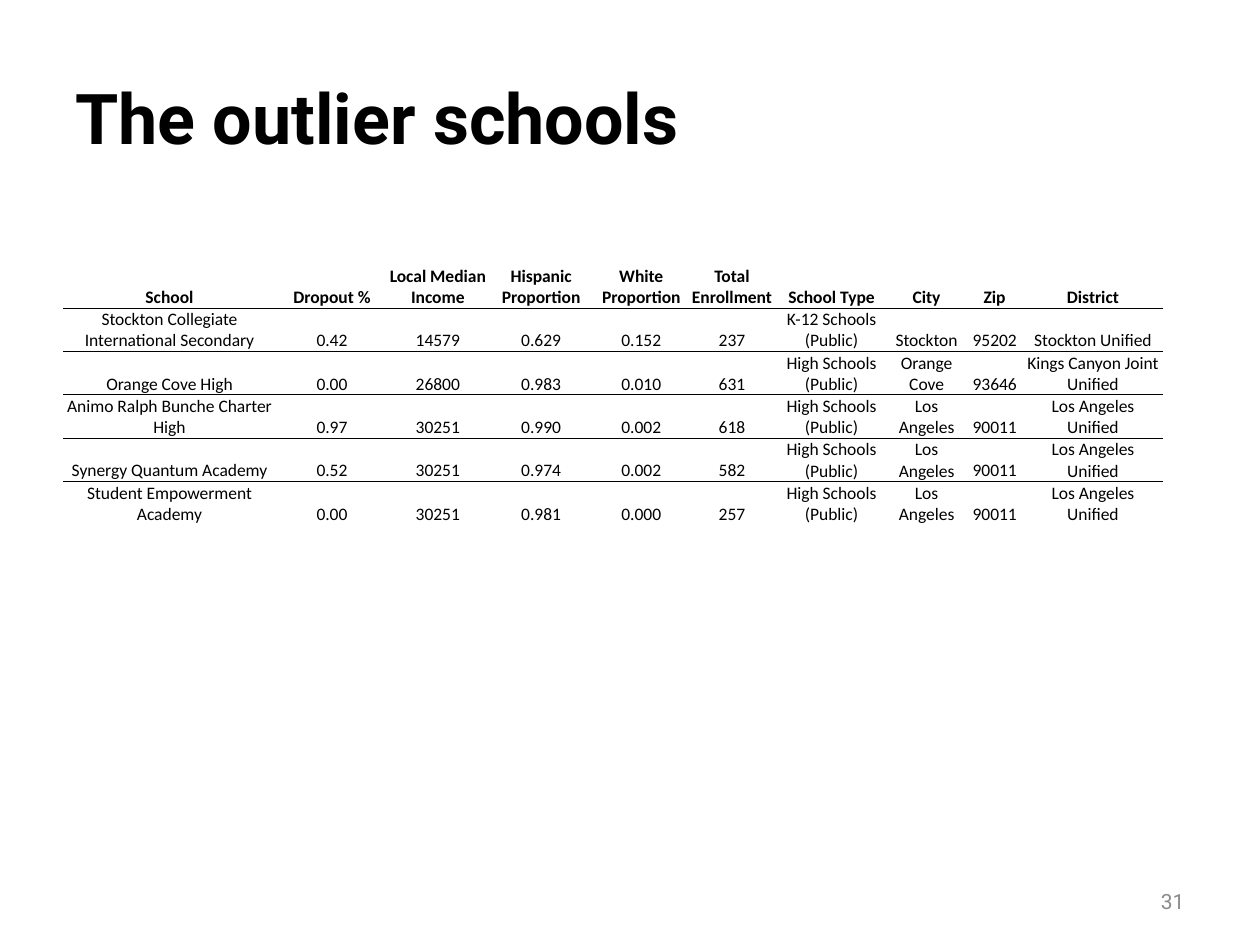
import lxml.etree
import pptx
import pptx.dml.color
import pptx.enum.text
import pptx.oxml.ns
import pptx.util
from pptx.util import Inches

BLACK = pptx.dml.color.RGBColor(0x00, 0x00, 0x00)
GREY = pptx.dml.color.RGBColor(0x8C, 0x8C, 0x8C)
ALIGN = pptx.enum.text.PP_ALIGN
ANCHOR = pptx.enum.text.MSO_ANCHOR
NO_STYLE = "{2D5ABB26-0587-4C30-8999-92F81FD0307C}"

COLUMN_WIDTHS = [1.69, 0.89, 0.79, 0.85, 0.74, 0.7, 0.88, 0.63, 0.45, 1.11]
ROW_HEIGHT = 0.34
SCHOOLS = [
    ["School", "Dropout %", "Local Median Income", "Hispanic Proportion",
     "White Proportion", "Total Enrollment", "School Type", "City", "Zip", "District"],
    ["Stockton Collegiate International Secondary", "0.42", "14579", "0.629", "0.152",
     "237", "K-12 Schools (Public)", "Stockton", "95202", "Stockton Unified"],
    ["Orange Cove High", "0.00", "26800", "0.983", "0.010",
     "631", "High Schools (Public)", "Orange Cove", "93646", "Kings Canyon Joint Unified"],
    ["Animo Ralph Bunche Charter High", "0.97", "30251", "0.990", "0.002",
     "618", "High Schools (Public)", "Los Angeles", "90011", "Los Angeles Unified"],
    ["Synergy Quantum Academy", "0.52", "30251", "0.974", "0.002",
     "582", "High Schools (Public)", "Los Angeles", "90011", "Los Angeles Unified"],
    ["Student Empowerment Academy", "0.00", "30251", "0.981", "0.000",
     "257", "High Schools (Public)", "Los Angeles", "90011", "Los Angeles Unified"],
]


def set_font(para, name, size, color, bold=False):
    para.font.name = name
    para.font.size = pptx.util.Pt(size)
    para.font.color.rgb = color
    para.font.bold = bold


def add_text(page, left, top, width, height, text, size, color, align, bold=False):
    box = page.shapes.add_textbox(Inches(left), Inches(top), Inches(width), Inches(height))
    frame = box.text_frame
    frame.word_wrap = True
    frame.vertical_anchor = ANCHOR.MIDDLE
    para = frame.paragraphs[0]
    para.text = text
    para.alignment = align
    set_font(para, "Roboto", size, color, bold)


def add_bottom_rule(cell):
    rule = lxml.etree.Element(pptx.oxml.ns.qn("a:lnB"), w=str(pptx.util.Pt(0.5)))
    fill = lxml.etree.SubElement(rule, pptx.oxml.ns.qn("a:solidFill"))
    lxml.etree.SubElement(fill, pptx.oxml.ns.qn("a:srgbClr"), val=str(BLACK))
    cell._tc.get_or_add_tcPr().insert(0, rule)


def fill_cell(cell, text, bold):
    cell.margin_left = cell.margin_right = cell.margin_top = Inches(0.01)
    cell.margin_bottom = 0
    cell.vertical_anchor = ANCHOR.BOTTOM
    cell.fill.background()
    para = cell.text_frame.paragraphs[0]
    para.text = text
    para.alignment = ALIGN.CENTER
    set_font(para, "Calibri", 10, BLACK, bold)


def add_school_table(page, left, top):
    frame = page.shapes.add_table(
        len(SCHOOLS), len(COLUMN_WIDTHS), Inches(left), Inches(top),
        Inches(sum(COLUMN_WIDTHS)), Inches(ROW_HEIGHT * len(SCHOOLS)))
    table = frame.table
    table.horz_banding = False
    table._tbl.tblPr.find(pptx.oxml.ns.qn("a:tableStyleId")).text = NO_STYLE
    for column, width in zip(table.columns, COLUMN_WIDTHS):
        column.width = Inches(width)
    for row_index, (row, values) in enumerate(zip(table.rows, SCHOOLS)):
        row.height = Inches(ROW_HEIGHT)
        for cell, value in zip(row.cells, values):
            fill_cell(cell, value, bold=row_index == 0)
            if row_index < len(SCHOOLS) - 1:
                add_bottom_rule(cell)


def main():
    deck = pptx.Presentation()
    deck.slide_width, deck.slide_height = Inches(10), Inches(7.5)
    page = deck.slides.add_slide(deck.slide_layouts[6])
    add_text(page, 0.5, 0.3, 9, 1.25, "The outlier schools", 40, BLACK, ALIGN.LEFT, bold=True)
    add_text(page, 7.17, 6.95, 2.33, 0.4, "31", 12, GREY, ALIGN.RIGHT)
    add_school_table(page, 0.5, 2.1)
    deck.save("out.pptx")


if __name__ == "__main__":
    main()
